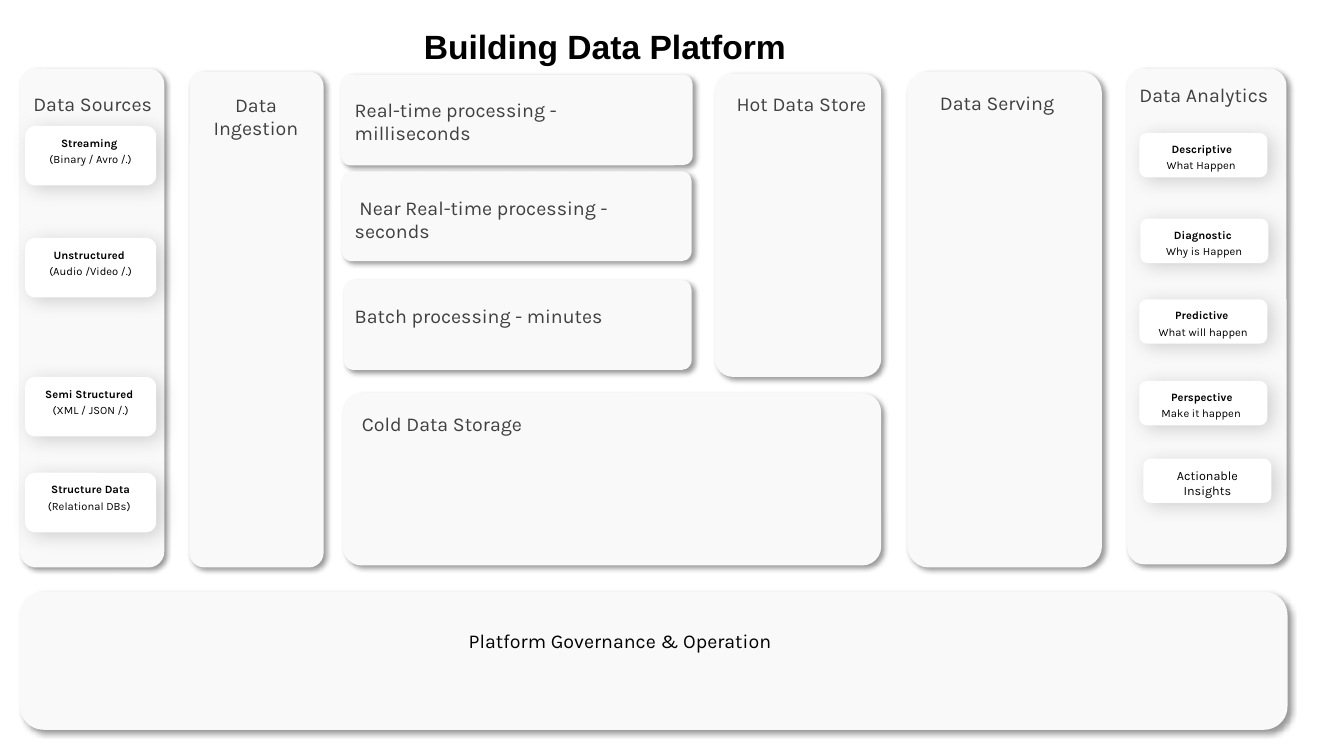
from pptx import Presentation
from pptx import util as u
from pptx.dml import color
from pptx.enum import shapes, text
from pptx.oxml import parse_xml
from pptx.oxml import ns

PX = 9144
PANEL, CARD, GREY, BLACK = "F9F9F9", "FFFFFF", "404040", "000000"
DEEP = (40, 4, 3, 45)
SOFT = (17, 14, 4, 36)
LEFT, MID = text.PP_ALIGN.LEFT, text.PP_ALIGN.CENTER


def px(n):
    return u.Emu(n * PX)


def rgb(tone):
    return color.RGBColor.from_string(tone)


def shade(shape, look):
    alpha, blur, dist, angle = look
    shape.shadow.inherit = False
    effects = shape._element.spPr.find(ns.qn("a:effectLst"))
    effects.append(parse_xml(
        f'<a:outerShdw {ns.nsdecls("a")} blurRad="{blur * 12700}" '
        f'dist="{dist * 12700}" dir="{angle * 60000}" algn="ctr" rotWithShape="0">'
        f'<a:srgbClr val="{BLACK}"><a:alpha val="{alpha * 1000}"/></a:srgbClr>'
        '</a:outerShdw>'))


def block(slide, box, tone, look, round_by):
    shape = slide.shapes.add_shape(
        shapes.MSO_SHAPE.ROUNDED_RECTANGLE, *map(px, box))
    shape.adjustments[0] = round_by
    shape.fill.solid()
    shape.fill.fore_color.rgb = rgb(tone)
    shape.line.fill.background()
    shade(shape, look)
    return shape


def setup(frame, pads):
    frame.word_wrap = True
    frame.vertical_anchor = text.MSO_ANCHOR.TOP
    (frame.margin_left, frame.margin_top,
     frame.margin_right, frame.margin_bottom) = map(px, pads)


def write(para, words, size, tone=BLACK, bold=False, align=MID, face="Karla"):
    para.alignment = align
    run = para.add_run()
    run.text = words
    run.font.name = face
    run.font.size = u.Pt(size)
    run.font.bold = bold
    run.font.color.rgb = rgb(tone)


def label(slide, box, words, align, tone=GREY):
    area = slide.shapes.add_textbox(*map(px, box))
    setup(area.text_frame, (10, 5, 10, 5))
    write(area.text_frame.paragraphs[0], words, 14, tone, align=align)


def panel(slide, box, words, place, align=MID, tone=GREY, round_by=0.11):
    x, y, w, h = box
    block(slide, box, PANEL, DEEP, round_by)
    dx, dy, wide, high = place
    label(slide, (x + dx, y + dy, wide, high), words, align, tone)


def card(slide, box, lines):
    shape = block(slide, box, CARD, SOFT, 0.17)
    frame = shape.text_frame
    setup(frame, (10, 7, 10, 5))
    for i, (words, size, bold, indent) in enumerate(lines):
        para = frame.add_paragraph() if i else frame.paragraphs[0]
        if i:
            para.space_before = u.Pt(2)
        if indent:
            para._p.get_or_add_pPr().set("marL", str(px(indent)))
        write(para, words, size, bold=bold, align=LEFT if indent else MID)


def title(slide, box):
    area = slide.shapes.add_textbox(*map(px, box))
    setup(area.text_frame, (0, 0, 0, 0))
    para = area.text_frame.paragraphs[0]
    para.line_spacing = u.Pt(46.7)
    write(para, "Building Data Platform", 24, bold=True, face="Arial")


def sources(slide, box):
    x, y, w, h = box
    panel(slide, box, "Data Sources", (-1, 18, 146, 26))
    kinds = [
        (57, "Streaming ", "(Binary / Avro /.)"),
        (168, "Unstructured ", "(Audio /Video /.)"),
        (306, "Semi Structured ", "(XML / JSON /.)"),
        (401, "Structure Data", "(Relational DBs) "),
    ]
    for dy, name, note in kinds:
        card(slide, (x + 5, y + dy, 130, 59),
             [(name, 8, True, 0), (note, 8, False, 0)])


def process(slide, box):
    x, y, w, h = box
    steps = [
        (0, 0, 349, 90, 18, "Real-time processing - milliseconds"),
        (1, 96, 347, 89, 19, " Near Real-time processing - seconds"),
        (3, 204, 345, 89, 19, "Batch processing - minutes"),
    ]
    for dx, dy, wide, high, drop, words in steps:
        panel(slide, (x + dx, y + dy, wide, high), words,
              (4 - dx, drop, 327, 24), LEFT)


def stores(slide, hot, cold):
    panel(slide, hot, "Hot Data Store", (-9, 13, 190, 25))
    panel(slide, cold, "Cold Data Storage", (9, 14, 327, 24), LEFT)


def analytics(slide, box):
    x, y, w, h = box
    panel(slide, box, "Data Analytics", (-8, 9, 168, 34))
    levels = [
        (12, 64, "Descriptive ", "What Happen", 15),
        (13, 149, "Diagnostic ", "Why is Happen", 0),
        (12, 229, "Predictive ", "What will happen", 0),
        (12, 310, "Perspective ", "Make it happen", 10),
    ]
    for dx, dy, name, note, indent in levels:
        card(slide, (x + dx, y + dy, 127, 44),
             [(name, 8, True, 0), (note, 8, False, indent)])
    card(slide, (x + 16, y + 387, 127, 44),
         [("Actionable Insights", 9, False, 0)])


def main():
    deck = Presentation()
    deck.slide_width, deck.slide_height = px(1333), px(750)
    slide = deck.slides.add_slide(deck.slide_layouts[6])
    sources(slide, (20, 68, 143, 495))
    panel(slide, (188, 71, 133, 492), "Data Ingestion", (-7, 16, 146, 26))
    process(slide, (338, 74, 349, 293))
    stores(slide, (709, 73, 165, 301), (340, 390, 534, 171))
    panel(slide, (900, 71, 193, 492), "Data Serving", (2, 14, 174, 21))
    analytics(slide, (1118, 68, 158, 492))
    panel(slide, (20, 587, 1257, 137), "Platform Governance & Operation",
          (435, 32, 388, 34), LEFT, BLACK, 0.17)
    title(slide, (327, 1, 546, 65))
    deck.save("out.pptx")


if __name__ == "__main__":
    main()
